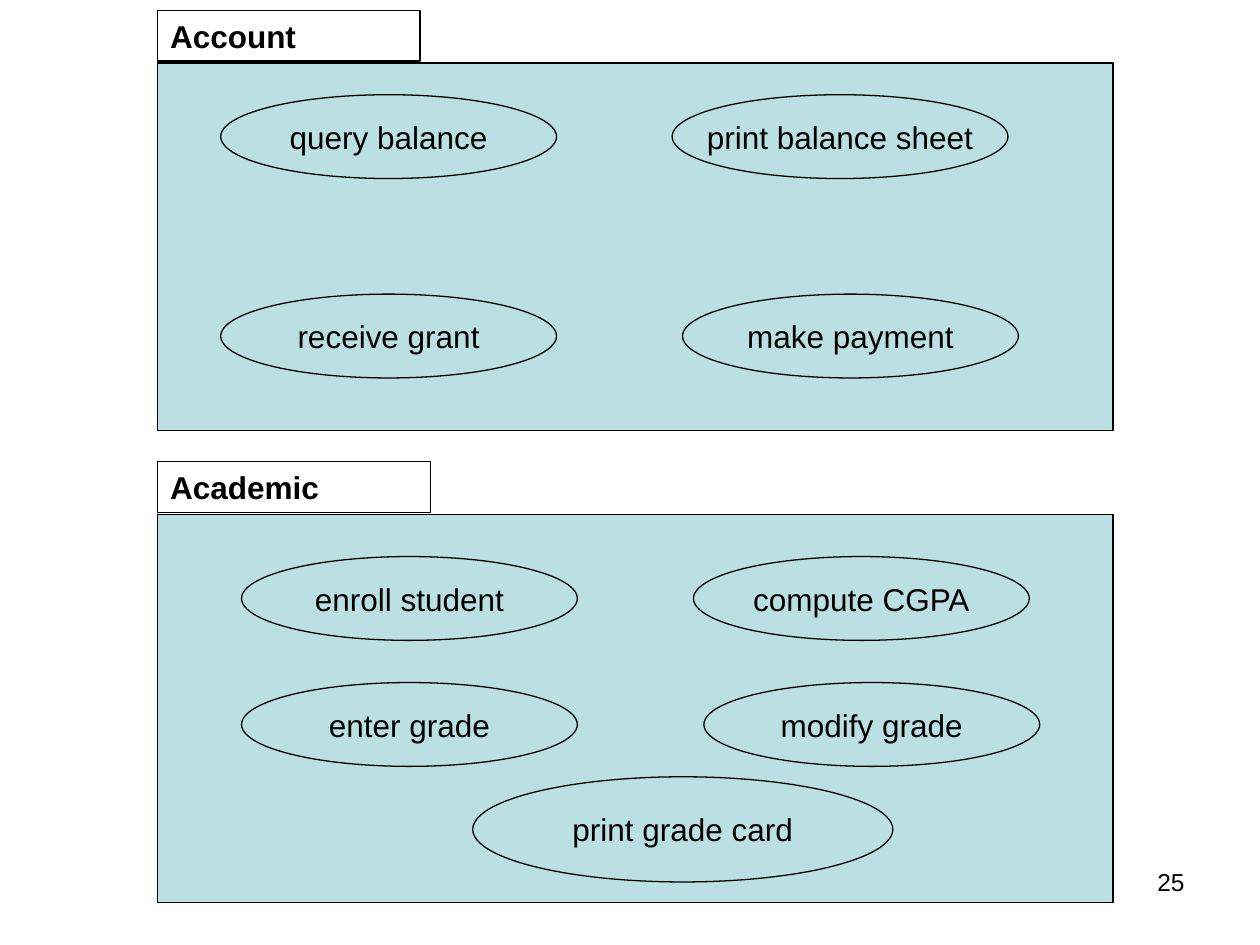
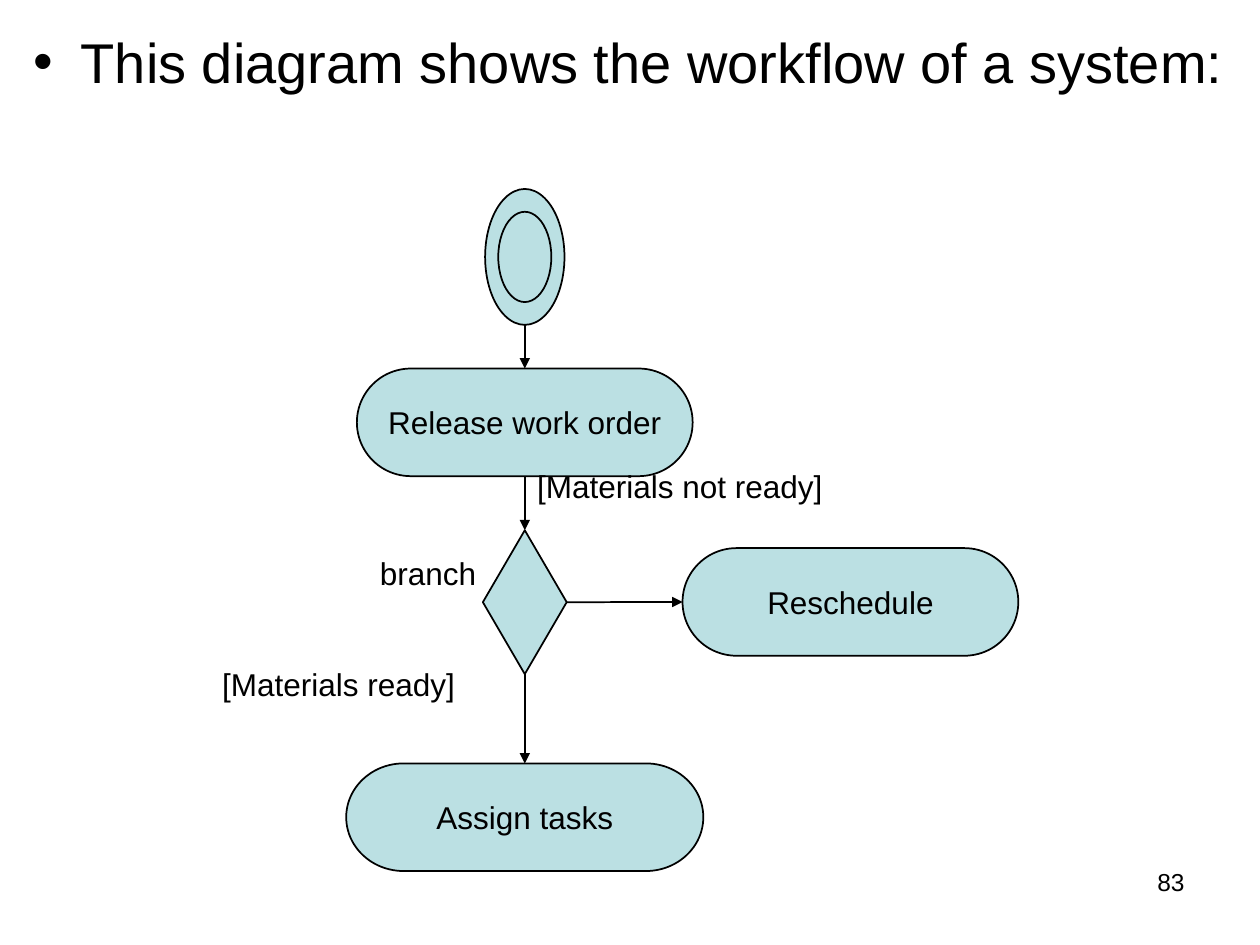
from lxml import etree
from pptx import Presentation
from pptx import util as u
from pptx.dml.color import RGBColor
from pptx.enum import shapes, text
from pptx.oxml import ns

INK = RGBColor(0x00, 0x00, 0x00)
PALE_TEAL = RGBColor(0xBB, 0xE0, 0xE3)
FONT = "Arial"
LABEL_SIZE, NUMBER_SIZE, BODY_SIZE = 18, 14, 32
THIN, MEDIUM = 0.75, 1
TOP, LEFT, BOTTOM, RIGHT = range(4)
LAYOUT_CONTENT, LAYOUT_BLANK = 1, 6
USE_CASE_SIZE = (6.77, 1.69)
LABEL_HEIGHT = 1.02
NODE_HEIGHT = 2.17
SHAPE = shapes.MSO_SHAPE


def cm(*lengths):
    return [u.Cm(length) for length in lengths]


def write(box, words, size=LABEL_SIZE, bold=False, align=text.PP_ALIGN.LEFT):
    para = box.text_frame.paragraphs[0]
    para.alignment = align
    para.space_before = u.Pt(0)
    span = para.add_run()
    span.text = words
    span.font.name = FONT
    span.font.size = u.Pt(size)
    span.font.bold = bold
    span.font.color.rgb = INK


def add_box(page, kind, left, top, width, height, fill=PALE_TEAL, line=THIN):
    box = page.shapes.add_shape(kind, *cm(left, top, width, height))
    box.shadow.inherit = False
    if fill is None:
        box.fill.background()
    else:
        box.fill.solid()
        box.fill.fore_color.rgb = fill
    box.line.color.rgb = INK
    box.line.width = u.Pt(line)
    return box


def add_node(page, kind, words, left, top, width, height, line=THIN):
    """Add a filled shape with its words centred on one line."""
    node = add_box(page, kind, left, top, width, height, line=line)
    node.text_frame.word_wrap = False
    node.text_frame.vertical_anchor = text.MSO_ANCHOR.MIDDLE
    write(node, words, align=text.PP_ALIGN.CENTER)
    return node


def add_label(page, words, left, top, width, height=LABEL_HEIGHT, **style):
    label = page.shapes.add_textbox(*cm(left, top, width, height))
    label.text_frame.word_wrap = True
    write(label, words, **style)


def add_page_number(page, number):
    add_label(page, str(number), 18.2, 17.36, 5.93, 1.32,
              size=NUMBER_SIZE, align=text.PP_ALIGN.RIGHT)


def add_arrow(page, start, start_side, end, end_side):
    """Join two shapes by an arrow; an ellipse can only be left from its bottom."""
    arrow = page.shapes.add_connector(
        shapes.MSO_CONNECTOR.STRAIGHT,
        start.left + start.width // 2, start.top + start.height,
        end.left, end.top)
    if start.auto_shape_type != SHAPE.OVAL:
        arrow.begin_connect(start, start_side)
    arrow.end_connect(end, end_side)
    arrow.line.color.rgb = INK
    arrow.line.width = u.Pt(MEDIUM)
    properties = arrow.element.spPr
    outline = properties.find(ns.qn("a:ln"))
    etree.SubElement(outline, ns.qn("a:tailEnd"), type="triangle")
    etree.SubElement(properties, ns.qn("a:effectLst"))


def add_package(page, name, left, top, width, height, tab_width, use_cases):
    """Draw a package with its name tab above and use cases inside."""
    add_box(page, SHAPE.RECTANGLE, left, top, width, height)
    for words, across, down, size in use_cases:
        add_node(page, SHAPE.OVAL, words, left + across, top + down, *size)
    tab = add_box(page, SHAPE.RECTANGLE, left, top - 1.06, tab_width,
                  LABEL_HEIGHT, fill=None)
    tab.text_frame.word_wrap = True
    tab.text_frame.vertical_anchor = text.MSO_ANCHOR.TOP
    write(tab, name, bold=True)


def add_workflow(page, left, top):
    """Draw the activity diagram with its main column on one axis."""
    axis = left + 6.35

    def on_axis(down, width, height):
        return axis - width / 2, top + down, width, height

    start = add_box(page, SHAPE.OVAL, *on_axis(0, 1.6, 2.74), line=MEDIUM)
    add_box(page, SHAPE.OVAL, *on_axis(0.46, 1.07, 1.82), line=MEDIUM)
    branch = add_box(page, SHAPE.FLOWCHART_DECISION,
                     *on_axis(6.88, 1.69, 2.9), line=MEDIUM)
    release, assign, reschedule = [
        add_node(page, SHAPE.FLOWCHART_TERMINATOR, words, *place, line=MEDIUM)
        for words, place in (
            ("Release work order", on_axis(3.62, 6.77, NODE_HEIGHT)),
            ("Assign tasks", on_axis(11.58, 7.2, NODE_HEIGHT)),
            ("Reschedule", (left + 9.53, top + 7.24, 6.77, NODE_HEIGHT)),
        )]
    for ends in ((start, BOTTOM, release, TOP),
                 (release, BOTTOM, branch, TOP),
                 (branch, RIGHT, reschedule, LEFT),
                 (branch, BOTTOM, assign, TOP)):
        add_arrow(page, *ends)
    for words, across, down, width in (
            ("[Materials not ready]", 6.35, 5.49, 7.41),
            ("[Materials ready]", 0, 9.48, 7.41),
            ("branch", 3.18, 7.24, 5.93)):
        add_label(page, words, left + across, top + down, width)


def build_packages_page(deck):
    page = deck.slides.add_slide(deck.slide_layouts[LAYOUT_BLANK])
    add_package(page, "Account", 3.18, 1.27, 19.26, 7.41, 5.29, (
        ("query balance", 1.27, 0.64, USE_CASE_SIZE),
        ("receive grant", 1.27, 4.66, USE_CASE_SIZE),
        ("print balance sheet", 10.37, 0.64, USE_CASE_SIZE),
        ("make payment", 10.58, 4.66, USE_CASE_SIZE)))
    add_package(page, "Academic", 3.18, 10.37, 19.26, 7.83, 5.5, (
        ("enroll student", 1.69, 0.85, USE_CASE_SIZE),
        ("enter grade", 1.69, 3.39, USE_CASE_SIZE),
        ("compute CGPA", 10.8, 0.85, USE_CASE_SIZE),
        ("modify grade", 11.01, 3.39, USE_CASE_SIZE),
        ("print grade card", 6.35, 5.29, (8.47, 2.12))))
    add_page_number(page, 25)


def build_workflow_page(deck):
    page = deck.slides.add_slide(deck.slide_layouts[LAYOUT_CONTENT])
    title = page.shapes.title.element
    title.getparent().remove(title)
    body = page.placeholders[1]
    body.left, body.top, body.width, body.height = cm(0.42, 0.42, 24.77, 3.6)
    write(body, "This diagram shows the workflow of a system:", BODY_SIZE)
    add_workflow(page, 4.23, 3.81)
    add_page_number(page, 83)


def main():
    deck = Presentation()
    deck.slide_width, deck.slide_height = cm(25.4, 19.05)
    build_packages_page(deck)
    build_workflow_page(deck)
    deck.save("out.pptx")


if __name__ == "__main__":
    main()
